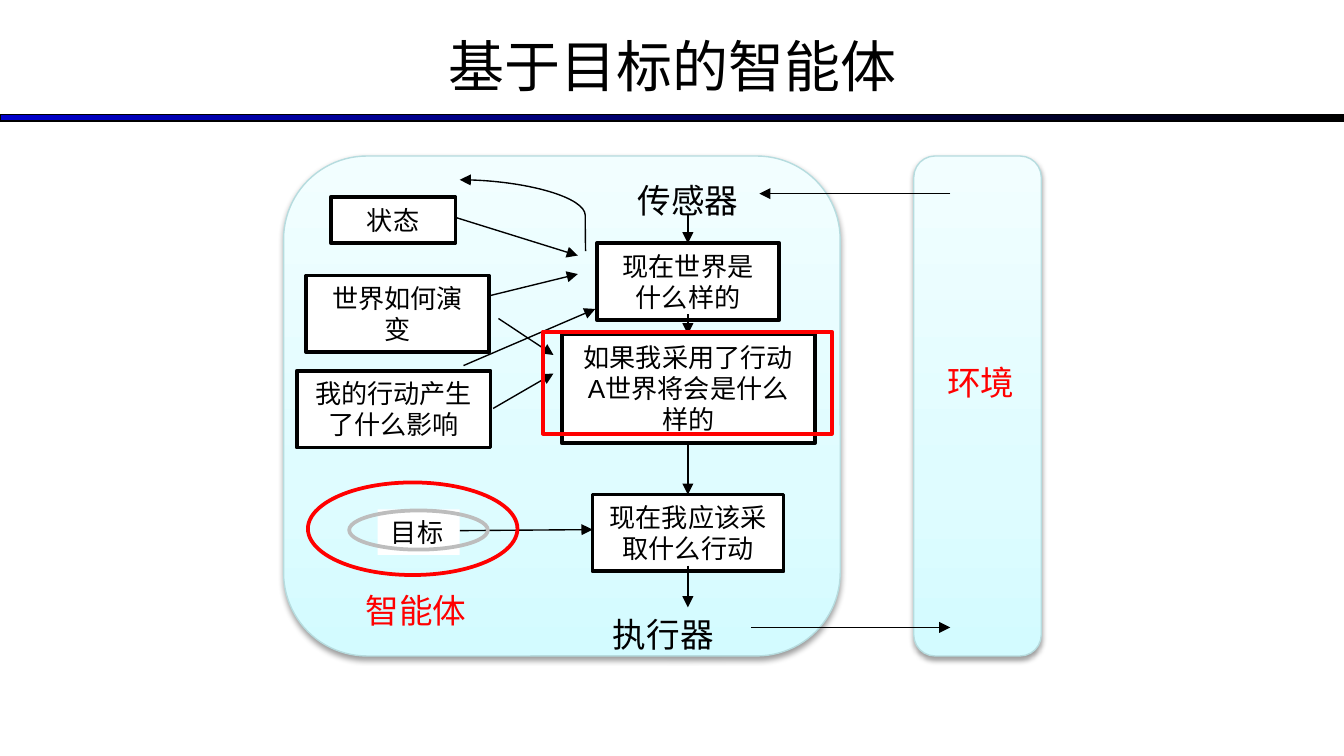
from copy import deepcopy

from lxml.etree import SubElement
from pptx import Presentation
from pptx.dml.color import RGBColor
from pptx.enum.shapes import MSO_CONNECTOR as Connector, MSO_SHAPE as Shape
from pptx.enum.text import MSO_ANCHOR as Anchor, MSO_AUTO_SIZE as AutoSize, PP_ALIGN as Align
from pptx.oxml.ns import qn
from pptx.util import Cm, Pt

BLACK = RGBColor(0x00, 0x00, 0x00)
WHITE = RGBColor(0xFF, 0xFF, 0xFF)
RED = RGBColor(0xFF, 0x00, 0x00)
GRAY = RGBColor(0xBD, 0xBD, 0xBD)
BLUE = RGBColor(0x00, 0x00, 0xCC)
PANEL_LINE = RGBColor(0xB6, 0xDC, 0xDF)
PANEL_DARK = RGBColor(0xD3, 0xFB, 0xFF)
PANEL_MIDDLE = RGBColor(0xDF, 0xFC, 0xFF)
PANEL_LIGHT = RGBColor(0xF2, 0xFE, 0xFF)


def write(frame, text, size=14, color=BLACK, font="Arial", align=Align.CENTER,
          anchor=Anchor.TOP, fit=AutoSize.SHAPE_TO_FIT_TEXT):
    frame.word_wrap = True
    frame.auto_size = fit
    frame.vertical_anchor = anchor
    paragraph = frame.paragraphs[0]
    paragraph.alignment = align
    run = paragraph.add_run()
    run.text = text
    run.font.name = font
    run.font.size = Pt(size)
    run.font.color.rgb = color


class Diagram:
    thin, thick = Pt(0.75), Pt(2)
    label_size = 18

    def __init__(self, slide):
        self.slide = slide

    def title(self, text, *place):
        title = self.slide.shapes.title
        title.left, title.top, title.width, title.height = map(Cm, place)
        write(title.text_frame, text, size=30, anchor=Anchor.MIDDLE, fit=AutoSize.NONE)

    def shape(self, kind, place, line=None, width=thick, fill=None):
        shape = self.slide.shapes.add_shape(kind, *map(Cm, place))
        shape.shadow.inherit = False
        if fill is None:
            shape.fill.background()
        else:
            shape.fill.solid()
            shape.fill.fore_color.rgb = fill
        if line is None:
            shape.line.fill.background()
        else:
            shape.line.color.rgb = line
            shape.line.width = width
        return shape

    def gradient(self, shape, colors, positions, angle):
        shape.fill.gradient()
        shape.fill.gradient_angle = angle
        stop_list = shape._element.spPr.find(qn("a:gradFill")).find(qn("a:gsLst"))
        while len(stop_list) < len(colors):
            stop_list.append(deepcopy(stop_list[-1]))
        for stop, color, position in zip(shape.fill.gradient_stops, colors, positions):
            stop.color.rgb = color
            stop.position = position

    def bar(self, *place):
        shape = self.shape(Shape.RECTANGLE, place, BLACK, self.thin)
        self.gradient(shape, (BLUE, BLACK), (0, 1), 0)

    def panel(self, *place):
        shape = self.shape(Shape.ROUNDED_RECTANGLE, place, PANEL_LINE, self.thin)
        self.gradient(shape, (PANEL_DARK, PANEL_MIDDLE, PANEL_LIGHT), (0, 0.35, 1), 90)
        effects = shape._element.spPr.find(qn("a:effectLst"))
        shadow = SubElement(effects, qn("a:outerShdw"), blurRad=str(Pt(3.1)),
                            dist=str(Pt(1.6)), dir="5400000", rotWithShape="0")
        color = SubElement(shadow, qn("a:srgbClr"), val=str(BLACK))
        SubElement(color, qn("a:alpha"), val="38000")

    def label(self, text, *place, color=BLACK):
        box = self.slide.shapes.add_textbox(*map(Cm, place))
        write(box.text_frame, text, size=self.label_size, color=color)

    def box(self, text, *place, line=BLACK, align=Align.CENTER):
        shape = self.shape(Shape.RECTANGLE, place, line, fill=WHITE)
        write(shape.text_frame, text, align=align)

    def arrow(self, *ends, kind=Connector.STRAIGHT):
        connector = self.slide.shapes.add_connector(kind, *map(Cm, ends))
        connector.line.color.rgb = BLACK
        connector.line.width = self.thin
        properties = connector._element.spPr
        SubElement(properties.find(qn("a:ln")), qn("a:tailEnd"), type="triangle")
        SubElement(properties, qn("a:effectLst"))
        return connector

    def curved_arrow(self, *ends, bend):
        connector = self.arrow(*ends, kind=Connector.CURVE)
        geometry = connector._element.spPr.find(qn("a:prstGeom"))
        guides = geometry.find(qn("a:avLst"))
        if guides is None:
            guides = SubElement(geometry, qn("a:avLst"))
        SubElement(guides, qn("a:gd"), name="adj1", fmla=f"val {bend}")


def main():
    presentation = Presentation()
    presentation.slide_width, presentation.slide_height = Cm(25.4), Cm(14.29)
    diagram = Diagram(presentation.slides.add_slide(presentation.slide_layouts[5]))

    # Heading
    diagram.bar(0, 2.16, 25.4, 0.13)
    diagram.title("基于目标的智能体", 3.71, 0.41, 18.01, 1.65)

    # Agent and environment
    diagram.panel(5.36, 2.95, 10.52, 9.45)
    diagram.panel(17.27, 2.95, 2.41, 9.45)
    diagram.label("智能体", 6.48, 11.02, 2.77, 1.02, color=RED)
    diagram.label("环境", 17.04, 6.71, 3, 1.02, color=RED)
    diagram.label("传感器", 11.66, 3.28, 2.69, 1.02)
    diagram.label("执行器", 11, 11.48, 3.07, 1.02)

    # Knowledge on the left, decision steps on the right
    diagram.box("状态", 6.25, 3.73, 2.36, 0.86)
    diagram.box("世界如何演变", 5.79, 5.21, 3.45, 1.45)
    diagram.box("我的行动产生了什么影响", 5.61, 7.01, 3.66, 1.45)
    diagram.box("目标", 7.14, 9.63, 1.55, 0.86, line=None, align=Align.LEFT)
    diagram.box("现在世界是什么样的", 11.28, 4.6, 3.45, 1.45)
    diagram.box("如果我采用了行动A世界将会是什么样的", 10.62, 6.32, 4.78, 2.06)
    diagram.box("现在我应该采取什么行动", 11.2, 9.35, 3.61, 1.45)

    # Arrows down the decision column
    column = 13
    for top, bottom in ((4.04, 4.6), (5.94, 6.32), (8.38, 9.35), (10.69, 11.48)):
        diagram.arrow(column, top, column, bottom)

    # Arrows from knowledge to decisions, and to and from the environment
    for ends in (
        (8.61, 4.11, 10.92, 4.83),
        (9.25, 5.59, 10.92, 5.18),
        (8.76, 6.91, 11.25, 5.84),
        (9.42, 6.02, 10.46, 6.71),
        (9.32, 7.72, 10.46, 7.06),
        (8.69, 10.03, 11.2, 10.01),
        (17.96, 3.66, 14.35, 3.66),
        (14.2, 11.86, 17.96, 11.86),
    ):
        diagram.arrow(*ends)
    diagram.curved_arrow(11.07, 4.75, 8.69, 3.4, bend=300)

    # Highlights
    diagram.shape(Shape.OVAL, (5.82, 9.12, 3.96, 1.75), RED)
    diagram.shape(Shape.RECTANGLE, (10.26, 6.27, 5.46, 1.93), RED)
    diagram.shape(Shape.OVAL, (6.6, 9.65, 2.62, 0.74), GRAY)

    presentation.save("out.pptx")


if __name__ == "__main__":
    main()
